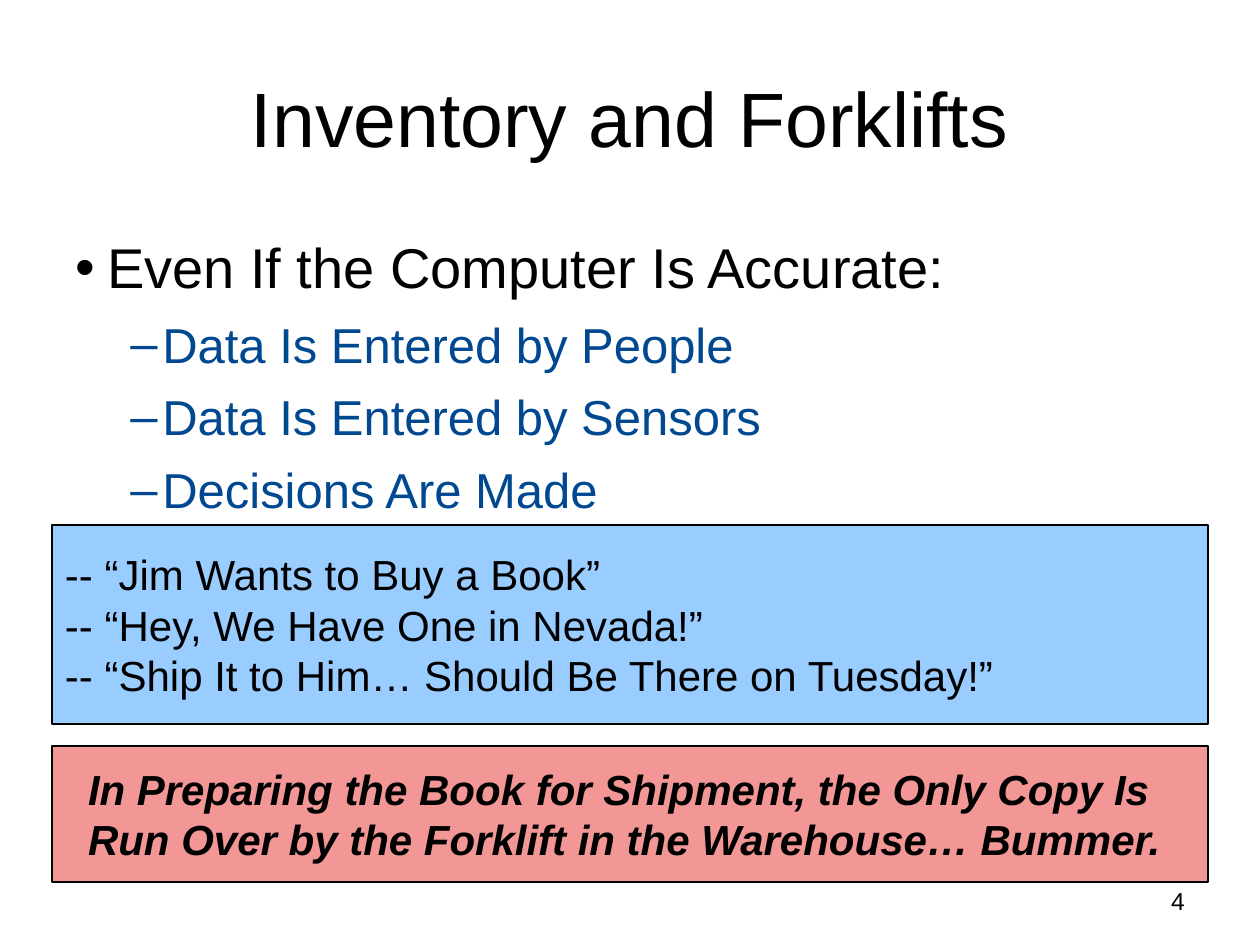
from dataclasses import dataclass

from lxml.etree import SubElement
from pptx import Presentation
from pptx.dml.color import RGBColor
from pptx.enum.shapes import MSO_SHAPE
from pptx.enum.text import MSO_ANCHOR as Anchor, PP_ALIGN as Align
from pptx.oxml.ns import qn
from pptx.util import Emu, Pt

EMU_PER_PX = 914400 / 126
FONT = "Arial"
BLACK = RGBColor(0x00, 0x00, 0x00)
NAVY = RGBColor(0x00, 0x48, 0x90)
SKY = RGBColor(0x99, 0xCC, 0xFF)
SALMON = RGBColor(0xF2, 0x96, 0x96)


@dataclass(frozen=True)
class Area:
    left: int
    top: int
    width: int
    height: int


@dataclass(frozen=True)
class TextStyle:
    size: int
    color: RGBColor = BLACK
    emphasis: bool = False
    align: Align = Align.LEFT


@dataclass(frozen=True)
class BulletLevel:
    symbol: str
    text_indent: int
    hang: int
    space_before: int
    style: TextStyle


@dataclass(frozen=True)
class Callout:
    area: Area
    fill: RGBColor
    lines: tuple[str, ...]
    style: TextStyle
    inset_left: int = 13


TOPIC = BulletLevel("•", 32, 32, 0, TextStyle(32))
CAUSE = BulletLevel("–", 87, 32, 8, TextStyle(28, NAVY))

OUTLINE = (
    (TOPIC, "Even If the Computer Is Accurate:"),
    (CAUSE, "Data Is Entered by People"),
    (CAUSE, "Data Is Entered by Sensors"),
    (CAUSE, "Decisions Are Made"),
)

CALLOUTS = (
    Callout(
        Area(52, 525, 1156, 199),
        SKY,
        (
            "-- “Jim Wants to Buy a Book”",
            "-- “Hey, We Have One in Nevada!”",
            "-- “Ship It to Him… Should Be There on Tuesday!”",
        ),
        TextStyle(24),
    ),
    Callout(
        Area(52, 746, 1156, 136),
        SALMON,
        ("In Preparing the Book for Shipment, the Only Copy Is\v"
         "Run Over by the Forklift in the Warehouse… Bummer.",),
        TextStyle(24, emphasis=True),
        inset_left=36,
    ),
)


def px(length: int) -> Emu:
    return Emu(round(length * EMU_PER_PX))


def box(area: Area) -> tuple[Emu, ...]:
    return px(area.left), px(area.top), px(area.width), px(area.height)


def style_paragraph(paragraph, style: TextStyle) -> None:
    paragraph.alignment = style.align
    font = paragraph.font
    font.name = FONT
    font.size = Pt(style.size)
    font.color.rgb = style.color
    if style.emphasis:
        font.bold = font.italic = True


def add_lines(frame, lines: tuple[str, ...], style: TextStyle) -> list:
    """Fill an empty frame with one styled paragraph per line."""
    frame.word_wrap = True
    frame.text = "\n".join(lines)
    for paragraph in frame.paragraphs:
        style_paragraph(paragraph, style)


def add_title(slide, text: str, area: Area) -> None:
    title = slide.shapes.title
    title.left, title.top, title.width, title.height = box(area)
    title.text_frame.vertical_anchor = Anchor.MIDDLE
    add_lines(title.text_frame, (text,), TextStyle(44, align=Align.CENTER))


def add_outline(slide, area: Area) -> None:
    frame = slide.shapes.add_textbox(*box(area)).text_frame
    frame.word_wrap = True
    frame.margin_top = px(12)
    for index, (level, text) in enumerate(OUTLINE):
        paragraph = frame.add_paragraph() if index else frame.paragraphs[0]
        paragraph.text = text
        paragraph.space_before = Pt(level.space_before)
        properties = paragraph._p.get_or_add_pPr()
        properties.set("marL", str(px(level.text_indent)))
        properties.set("indent", str(-px(level.hang)))
        SubElement(properties, qn("a:buFont"), typeface=FONT)
        SubElement(properties, qn("a:buChar"), char=level.symbol)
        style_paragraph(paragraph, level.style)


def add_callout(slide, callout: Callout) -> None:
    panel = slide.shapes.add_shape(MSO_SHAPE.RECTANGLE, *box(callout.area))
    panel.shadow.inherit = False
    panel.fill.solid()
    panel.fill.fore_color.rgb = callout.fill
    panel.line.color.rgb = BLACK
    panel.line.width = Pt(0.75)
    frame = panel.text_frame
    frame.vertical_anchor = Anchor.MIDDLE
    frame.margin_left = px(callout.inset_left)
    add_lines(frame, callout.lines, callout.style)


def add_page_number(slide, number: str, area: Area) -> None:
    frame = slide.shapes.add_textbox(*box(area)).text_frame
    add_lines(frame, (number,), TextStyle(14, align=Align.RIGHT))


def main() -> None:
    presentation = Presentation()
    presentation.slide_width = px(1260)
    presentation.slide_height = px(945)
    slide = presentation.slides.add_slide(presentation.slide_layouts[5])

    add_title(slide, "Inventory and Forklifts", Area(63, 38, 1134, 157))
    add_outline(slide, Area(63, 221, 1134, 304))
    for callout in CALLOUTS:
        add_callout(slide, callout)
    add_page_number(slide, "4", Area(903, 880, 294, 65))

    presentation.save("out.pptx")


if __name__ == "__main__":
    main()
